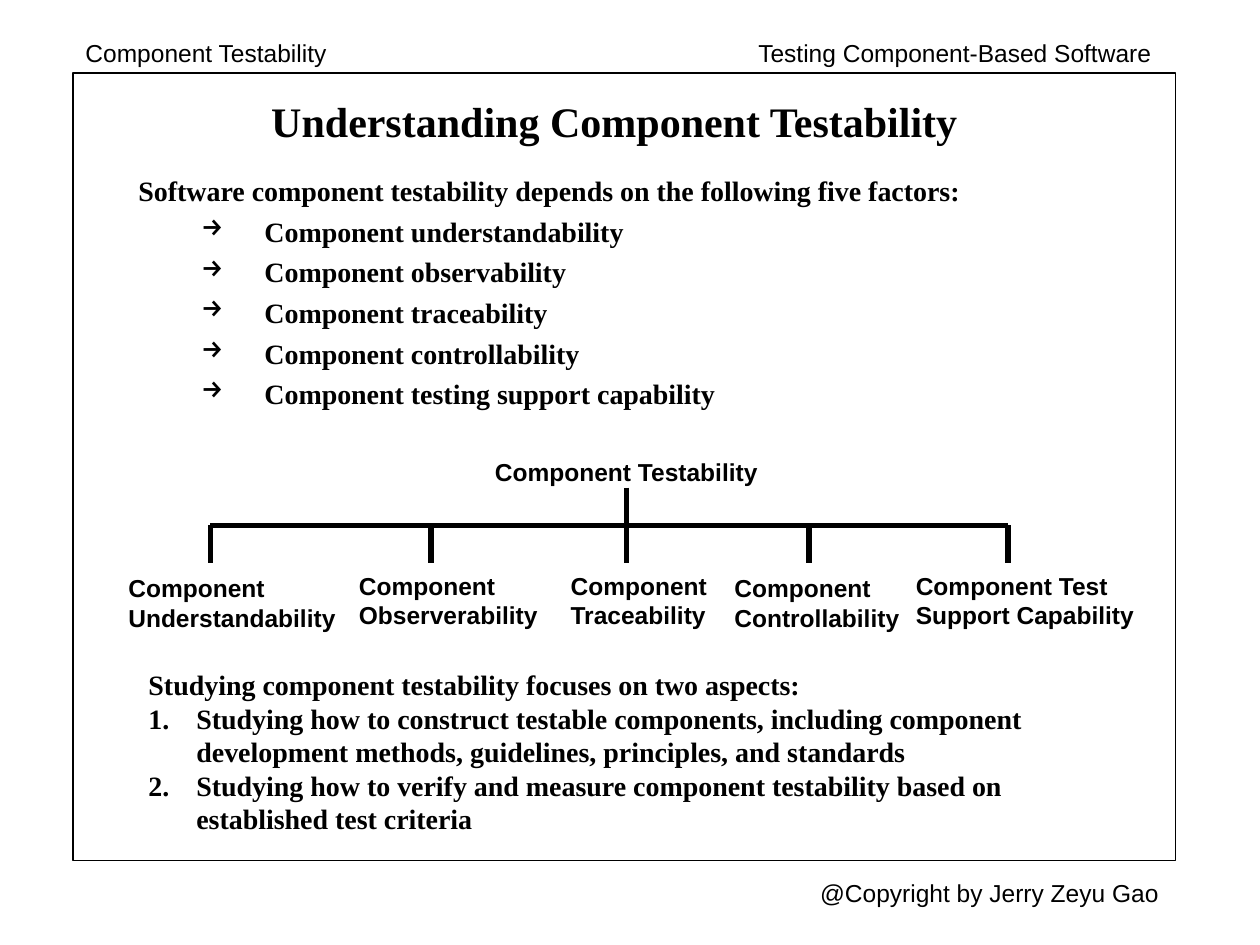
from dataclasses import dataclass

from lxml import etree
from pptx import Presentation
from pptx.dml.color import RGBColor
from pptx.enum.shapes import MSO_CONNECTOR, MSO_SHAPE
from pptx.enum.text import MSO_ANCHOR, MSO_AUTO_SIZE, PP_ALIGN
from pptx.oxml.ns import qn
from pptx.util import Inches, Pt


@dataclass(frozen=True)
class Theme:
    ink: RGBColor = RGBColor(0, 0, 0)
    paper: RGBColor = RGBColor(255, 255, 255)
    serif: str = "Times New Roman"
    sans: str = "Arial"
    title_size: int = 24
    body_size: int = 16
    label_size: int = 14
    frame_width: float = 0.75
    branch_width: int = 3


@dataclass(frozen=True)
class Box:
    left: float
    top: float
    width: float
    height: float

    def emu(self):
        return [Inches(v) for v in (self.left, self.top, self.width, self.height)]

    def inner(self, dx, dy, width, height):
        return Box(self.left + dx, self.top + dy, width, height)


THEME = Theme()
TITLE = {"name": THEME.serif, "size": Pt(THEME.title_size), "bold": True}
BODY = {"name": THEME.serif, "size": Pt(THEME.body_size), "bold": True}
LABEL = {"name": THEME.sans, "size": Pt(THEME.label_size), "bold": True}
MARGIN = {"name": THEME.sans, "size": Pt(THEME.label_size), "bold": False}


def apply(target, values):
    for attribute, value in values.items():
        setattr(target, attribute, value)


def write(paragraph, text, font_format):
    run = paragraph.add_run()
    run.text = text
    apply(run.font, font_format)
    run.font.color.rgb = THEME.ink


def write_lines(frame, lines, font_format, **paragraph_format):
    for index, line in enumerate(lines):
        paragraph = frame.add_paragraph() if index else frame.paragraphs[0]
        apply(paragraph, paragraph_format)
        write(paragraph, line, font_format)


def add_text(shapes, box, lines, font_format, frame_format=None, **paragraph_format):
    frame = shapes.add_textbox(*box.emu()).text_frame
    apply(frame, {"word_wrap": True, **(frame_format or {})})
    write_lines(frame, lines, font_format, **paragraph_format)
    return frame


def add_items(frame, items, left, hanging, bullet_tag, bullet, **paragraph_format):
    for item in items:
        paragraph = frame.add_paragraph()
        apply(paragraph, paragraph_format)
        properties = paragraph._p.get_or_add_pPr()
        properties.set("marL", str(Inches(left)))
        properties.set("indent", str(-Inches(hanging)))
        color = etree.SubElement(properties, qn("a:buClr"))
        etree.SubElement(color, qn("a:srgbClr")).set("val", str(THEME.ink))
        etree.SubElement(properties, qn(bullet_tag), bullet)
        write(paragraph, item, BODY)


def add_frame(shapes, box):
    border = shapes.add_shape(MSO_SHAPE.RECTANGLE, *box.emu())
    border.shadow.inherit = False
    border.fill.background()
    border.line.color.rgb = THEME.ink
    border.line.width = Pt(THEME.frame_width)


def add_margin_note(shapes, box, text):
    add_text(shapes, box, [text], MARGIN,
             {"word_wrap": False, "auto_size": MSO_AUTO_SIZE.SHAPE_TO_FIT_TEXT})


def add_title(shapes, box, text):
    add_text(shapes, box, [text], TITLE,
             {"vertical_anchor": MSO_ANCHOR.MIDDLE}, alignment=PP_ALIGN.CENTER)


def add_factors(shapes, box, heading, factors):
    frame = add_text(shapes, box, [heading], BODY)
    add_items(frame, factors, 1, 0.5, "a:buChar", {"char": "→"},
              level=1, space_before=Pt(4))


def add_aspects(shapes, box, heading, aspects):
    frame = add_text(shapes, box, [heading], BODY,
                     {"auto_size": MSO_AUTO_SIZE.SHAPE_TO_FIT_TEXT})
    add_items(frame, aspects, 0.38, 0.38, "a:buAutoNum", {"type": "arabicPeriod"})


def add_node(shapes, box, lines):
    node = shapes.add_shape(MSO_SHAPE.RECTANGLE, *box.emu())
    node.shadow.inherit = False
    node.fill.solid()
    node.fill.fore_color.rgb = THEME.paper
    node.line.fill.background()
    apply(node.text_frame, {"word_wrap": True, "vertical_anchor": MSO_ANCHOR.TOP})
    write_lines(node.text_frame, lines, LABEL, alignment=PP_ALIGN.LEFT)


def add_branch(shapes, *ends):
    branch = shapes.add_connector(MSO_CONNECTOR.STRAIGHT, *[Inches(v) for v in ends])
    branch.line.color.rgb = THEME.ink
    branch.line.width = Pt(THEME.branch_width)
    etree.SubElement(branch._element.spPr, qn("a:effectLst"))


def add_tree(slide_shapes, box, root, leaves):
    shapes = slide_shapes.add_group_shape().shapes
    add_node(shapes, box.inner(2.91, 0, 2.33, 0.3), [root])
    for dx, dy, width, height, _, lines in leaves:
        add_node(shapes, box.inner(dx, dy, width, height), lines)
    drops = [box.left + leaf[4] for leaf in leaves]
    bar, drop = box.top + 0.59, 0.3
    add_branch(shapes, drops[0], bar, drops[-1], bar)
    for x in drops:
        add_branch(shapes, x, bar, x, bar + drop)
    trunk = drops[len(drops) // 2]
    add_branch(shapes, trunk, bar - drop, trunk, bar)


def main():
    deck = Presentation()
    apply(deck, {"slide_width": Inches(10), "slide_height": Inches(7.5)})
    shapes = deck.slides.add_slide(deck.slide_layouts[6]).shapes

    add_frame(shapes, Box(0.58, 0.58, 8.75, 6.25))
    add_margin_note(shapes, Box(6.41, 6.92, 2.89, 0.34), "@Copyright by Jerry Zeyu Gao")
    add_title(shapes, Box(1.5, 0.58, 6.75, 0.75), "Understanding Component Testability")
    add_factors(
        shapes, Box(1, 1.33, 7.92, 3.83),
        "Software component testability depends on the following five factors:",
        ["Component understandability", "Component observability",
         "Component traceability", "Component controllability",
         "Component testing support capability"])
    add_tree(
        shapes, Box(0.92, 3.58, 8.25, 1.6), "Component Testability",
        [(0, 0.92, 1.92, 0.6, 0.75, ["Component Understandability"]),
         (1.83, 0.9, 1.75, 0.68, 2.5, ["Component", "Observerability"]),
         (3.51, 0.9, 1.32, 0.6, 4.05, ["Component Traceability"]),
         (4.81, 0.92, 1.52, 0.68, 5.5, ["Component Controllability"]),
         (6.25, 0.9, 2, 0.68, 7.08, ["Component Test Support Capability"])])
    add_aspects(
        shapes, Box(1.08, 5.25, 7.58, 1.44),
        "Studying component testability focuses on two aspects:",
        ["Studying how to construct testable components, including component "
         "development methods, guidelines, principles, and standards",
         "Studying how to verify and measure component testability based on "
         "established test criteria"])
    add_margin_note(shapes, Box(0.58, 0.25, 2.14, 0.34), "Component Testability")
    add_margin_note(shapes, Box(5.92, 0.25, 3.34, 0.34), "Testing Component-Based Software")

    deck.save("out.pptx")


if __name__ == "__main__":
    main()
